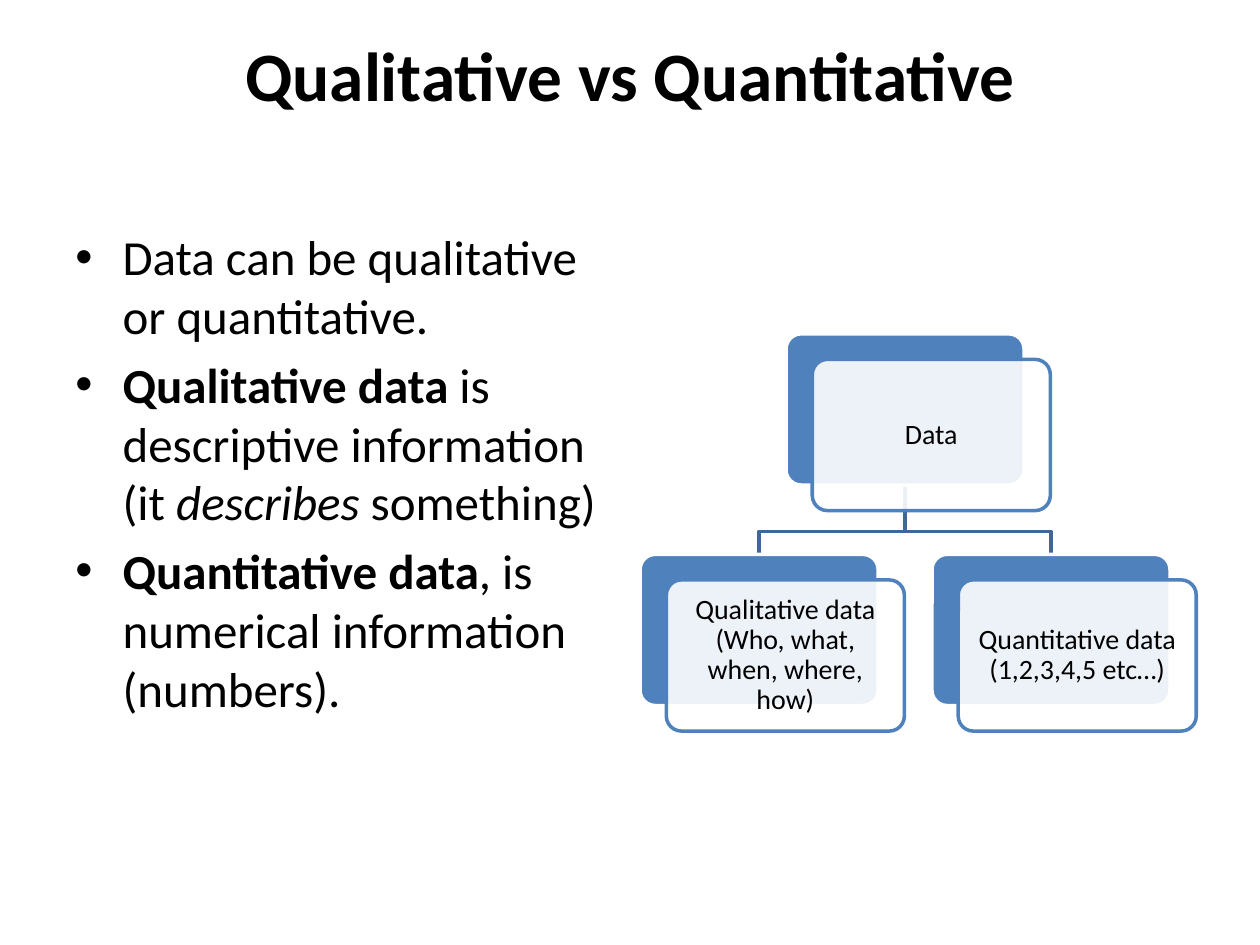
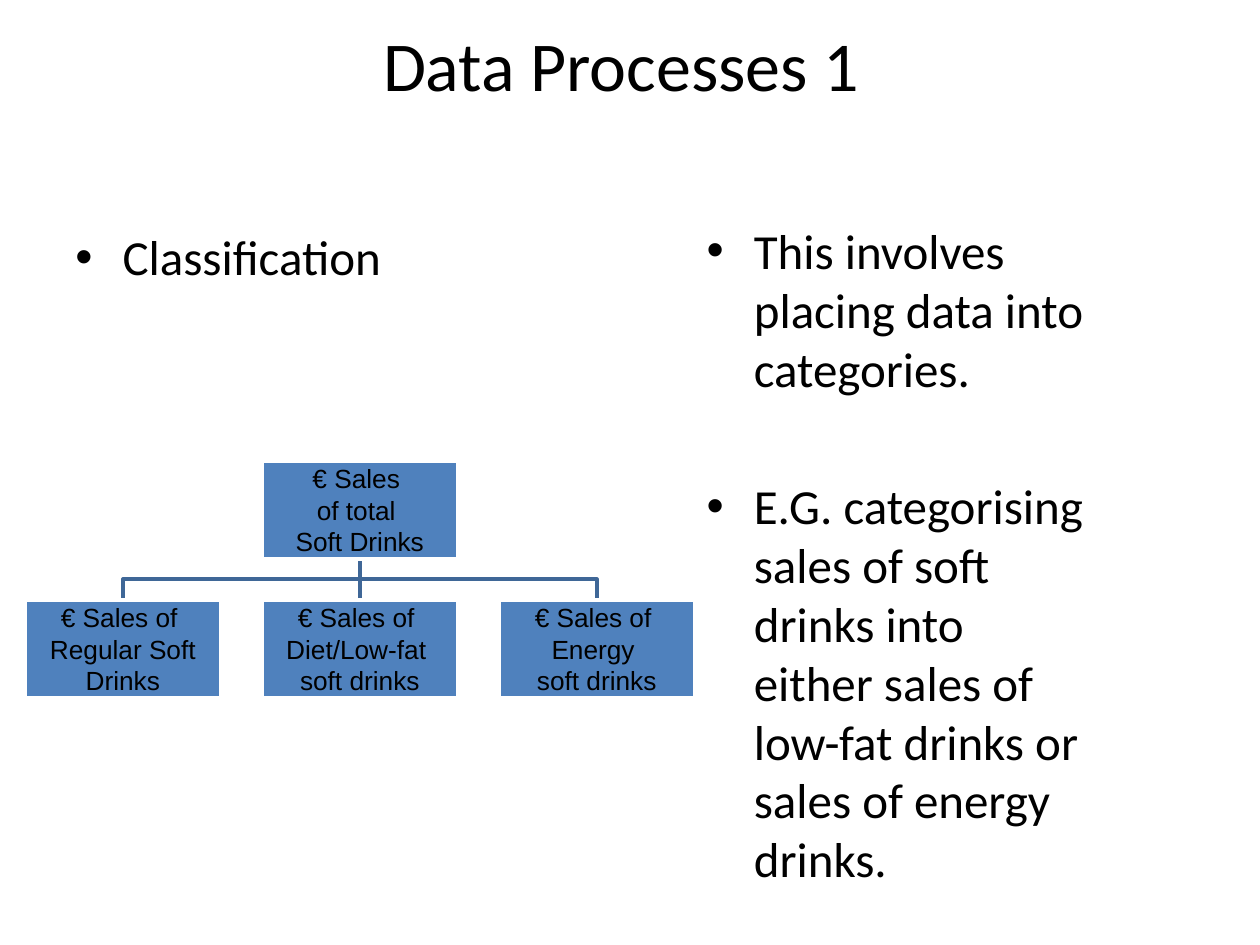
from lxml import etree
from pptx import Presentation
from pptx.dml.color import RGBColor
from pptx.enum.shapes import MSO_CONNECTOR, MSO_SHAPE
from pptx.enum.text import MSO_ANCHOR, PP_ALIGN
from pptx.oxml.ns import qn
from pptx.util import Pt

BLACK = RGBColor(0x00, 0x00, 0x00)
WHITE = RGBColor(0xFF, 0xFF, 0xFF)
BLUE = RGBColor(0x4F, 0x81, 0xBD)
DARK_BLUE = RGBColor(0x3F, 0x67, 0x97)
RECT, ROUNDED = MSO_SHAPE.RECTANGLE, MSO_SHAPE.ROUNDED_RECTANGLE
STRAIGHT = MSO_CONNECTOR.STRAIGHT
TOP, MIDDLE = MSO_ANCHOR.TOP, MSO_ANCHOR.MIDDLE
LEFT, CENTER = PP_ALIGN.LEFT, PP_ALIGN.CENTER
BODY, DIAGRAM = "Calibri", "Arial"


class Deck:
    """Holds the presentation, its shared style and the current slide."""

    def __init__(self):
        self.prs = Presentation()
        self.prs.slide_width, self.prs.slide_height = Pt(720), Pt(540)

    def slide(self):
        self.s = self.prs.slides.add_slide(self.prs.slide_layouts[6])

    def frame(self, sp, anchor, insets):
        tf = sp.text_frame
        tf.word_wrap = True
        tf.vertical_anchor = anchor
        tf.margin_left, tf.margin_top, tf.margin_right, tf.margin_bottom = map(Pt, insets)
        return tf

    def style(self, p, size, font=BODY, align=LEFT):
        p.alignment = align
        for r in p.runs:
            r.font.size = Pt(size)
            r.font.name = font
            r.font.color.rgb = BLACK

    def title(self, text, left, top, height, size=40, bold=False, below=3.6):
        sp = self.s.shapes.add_textbox(Pt(left), Pt(top), Pt(648), Pt(height))
        tf = self.frame(sp, MIDDLE, (7.2, 3.6, 7.2, below))
        tf.text = text
        p = tf.paragraphs[0]
        self.style(p, size, align=CENTER)
        p.runs[0].font.bold = bold

    def bullets(self, items, left, top, width, gap=5.6):
        sp = self.s.shapes.add_textbox(Pt(left), Pt(top), Pt(width), Pt(356.4))
        tf = self.frame(sp, TOP, (7.2, 3.6, 7.2, 3.6))
        for i, parts in enumerate(items):
            p = tf.add_paragraph() if i else tf.paragraphs[0]
            for text, look in parts:
                r = p.add_run()
                r.text = text
                r.font.bold = look == "bold"
                r.font.italic = look == "italic"
            self.style(p, 28)
            p.space_before = Pt(gap if i else 5.6)
            pPr = p._p.get_or_add_pPr()
            pPr.set("marL", str(Pt(27)))
            pPr.set("indent", str(-Pt(27)))
            etree.SubElement(pPr, qn("a:buFont")).set("typeface", "Arial")
            etree.SubElement(pPr, qn("a:buChar")).set("char", "•")

    def box(self, kind, left, top, width, height, fill, line):
        sp = self.s.shapes.add_shape(kind, Pt(left), Pt(top), Pt(width), Pt(height))
        sp.shadow.inherit = False
        sp.fill.solid()
        sp.fill.fore_color.rgb = fill
        sp.line.color.rgb = line
        sp.line.width = Pt(2)
        if kind == ROUNDED:
            sp.adjustments[0] = 0.1
        return sp

    def card(self, text, left, top, width, height):
        self.box(ROUNDED, left, top, width, height, BLUE, WHITE)
        sp = self.box(ROUNDED, left + 15, top + 14.6, width, height, WHITE, BLUE)
        color = sp._element.spPr.find(qn("a:solidFill"))[0]
        etree.SubElement(color, qn("a:alpha")).set("val", "90000")
        tf = self.frame(sp, MIDDLE, (5.4,) * 4)
        tf.text = text
        tf.paragraphs[0].line_spacing = 0.9
        self.style(tf.paragraphs[0], 16, align=CENTER)

    def block(self, text, left, top, width, height):
        sp = self.box(RECT, left, top, width, height, BLUE, WHITE)
        tf = self.frame(sp, MIDDLE, (0.72,) * 4)
        tf.text = text
        for p in tf.paragraphs:
            self.style(p, 15, DIAGRAM, CENTER)

    def branch(self, x1, y1, x2, y2, bus):
        if abs(x1 - x2) < 0.01:
            sp = self.s.shapes.add_connector(STRAIGHT, Pt(x1), Pt(y1), Pt(x2), Pt(y2))
            etree.SubElement(sp._element.spPr, qn("a:effectLst"))
        else:
            builder = self.s.shapes.build_freeform(Pt(x1), Pt(y1))
            points = [(x1, bus), (x2, bus), (x2, y2)]
            builder.add_line_segments([(Pt(x), Pt(y)) for x, y in points], close=False)
            sp = builder.convert_to_shape()
            sp.shadow.inherit = False
            sp.fill.background()
        sp.line.color.rgb = DARK_BLUE
        sp.line.width = Pt(2)

    def tree(self, node, root, children, left, pitch, root_top, child_top, bus, size):
        width, height = size
        lefts = [left + i * pitch for i in range(len(children))]
        root_left = (lefts[0] + lefts[-1]) / 2
        for x in lefts:
            self.branch(root_left + width / 2, root_top + height, x + width / 2, child_top, bus)
        node(root, root_left, root_top, width, height)
        for text, x in zip(children, lefts):
            node(text, x, child_top, width, height)


deck = Deck()

deck.slide()
deck.title("Qualitative vs Quantitative", 36, 21.6, 90, size=39.6, bold=True, below=52)
deck.bullets([
    [("Data can be qualitative or quantitative.", "")],
    [("Qualitative data", "bold"), (" is descriptive information (it ", ""),
     ("describes", "italic"), (" something)", "")],
    [("Quantitative data", "bold"), (", is numerical information (numbers).", "")],
], 36, 126, 318)
deck.tree(deck.card, "Data",
          ["Qualitative data (Who, what, when, where, how)",
           "Quantitative data (1,2,3,4,5 etc…)"],
          left=365.8, pitch=166.8, root_top=190.8, child_top=316.8, bus=303.8,
          size=(136, 86.4))

deck.slide()
deck.title("Data Processes 1", 31, 0, 72.7)
deck.bullets([[("Classification", "")]], 36, 126, 318)
deck.bullets([
    [("This involves placing data into categories.", "")],
    [("E.G. categorising sales of soft drinks into either sales of "
      "low-fat drinks or sales of energy drinks.", "")],
], 396.7, 122.4, 234.7, gap=45)
deck.tree(deck.block, "€ Sales \nof total \nSoft Drinks",
          ["€ Sales of \nRegular Soft Drinks",
           "€ Sales of \nDiet/Low-fat \nsoft drinks",
           "€ Sales of \nEnergy \nsoft drinks"],
          left=14.4, pitch=135.4, root_top=263.5, child_top=342.9, bus=331,
          size=(111.6, 55.8))

deck.prs.save("out.pptx")
